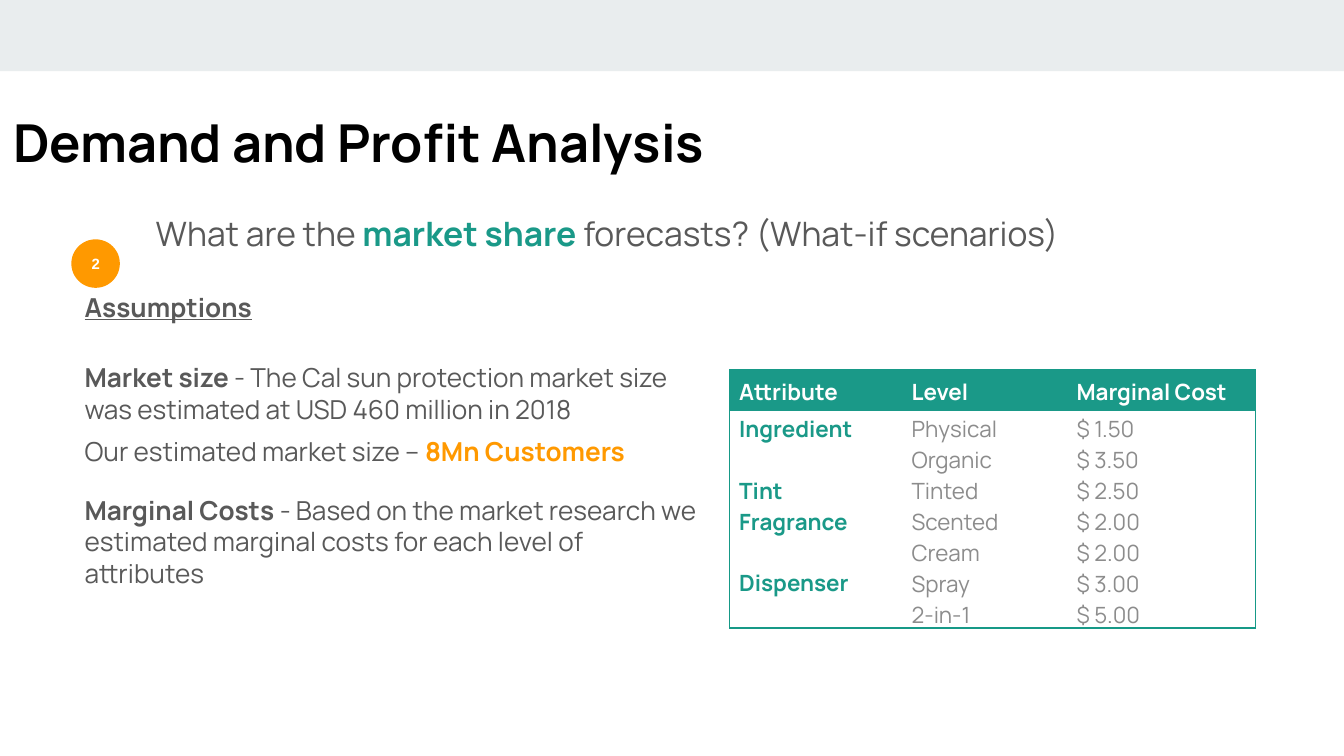
"""Build the market share assumptions slide with its marginal cost table."""
from dataclasses import dataclass

import pptx
import pptx.dml.color
import pptx.enum.shapes
import pptx.enum.text
import pptx.oxml
import pptx.oxml.ns
import pptx.util

Pt = pptx.util.Pt
RGBColor = pptx.dml.color.RGBColor
ALIGN = pptx.enum.text.PP_ALIGN
ANCHOR = pptx.enum.text.MSO_ANCHOR
SHAPE = pptx.enum.shapes.MSO_SHAPE

BLACK = RGBColor(0, 0, 0)
WHITE = RGBColor(255, 255, 255)
BAND = RGBColor(0xE9, 0xED, 0xEE)
TEAL = RGBColor(0x1A, 0x99, 0x88)
BORDER = RGBColor(0x16, 0x99, 0x87)
ORANGE = RGBColor(0xFF, 0x99, 0x00)
DARK_GREY = RGBColor(0x59, 0x59, 0x59)
GREY = RGBColor(0x8C, 0x8C, 0x8C)

INSET = 7.2
NO_STYLE = "{2D5ABB26-0587-4C30-8999-92F81FD0307C}"
COLUMN_WIDTHS = (92.4, 88.4, 100.7)
HEADER_HEIGHT, ROW_HEIGHT = 22.4, 16.6
COSTS = (
    ("Attribute", "Level", "Marginal Cost"),
    ("Ingredient", "Physical", "$ 1.50"),
    ("", "Organic", "$ 3.50"),
    ("Tint", "Tinted", "$ 2.50"),
    ("Fragrance", "Scented", "$ 2.00"),
    ("Dispenser", "Cream", "$ 2.00"),
    ("", "Spray", "$ 3.00"),
    ("", "2-in-1", "$ 5.00"),
)
MERGES = ((1, 2), (5, 7))


@dataclass
class Span:
    text: str
    color: RGBColor = DARK_GREY
    bold: bool = False
    underline: bool = False


@dataclass
class Para:
    spans: tuple
    before: float = 0
    after: float = 0
    line: float = 1.0


@dataclass
class Box:
    left: float
    top: float
    width: float
    height: float
    size: float
    paras: tuple


BOXES = (
    Box(0, 51.8, 605.5, 42.5, 28,
        (Para((Span("Demand and Profit Analysis", BLACK, True),)),)),
    Box(76.3, 103.7, 686, 81.4, 18,
        (Para((Span("What are the "), Span("market share ", TEAL, True),
               Span("forecasts? (What-if scenarios)")), after=16, line=1.15),)),
    Box(38.2, 146.2, 686, 81.4, 14,
        (Para((Span("Assumptions", bold=True, underline=True),), after=16, line=1.15),)),
    Box(38.2, 186.5, 344.2, 92.9, 14, (
        Para((Span("Market size ", bold=True),
              Span("- The Cal sun protection market size was estimated at "
                   "USD 460 million in 2018")), after=4),
        Para((Span("Our estimated market size – "),
              Span("8Mn Customers", ORANGE, True)), before=2, after=4),
        Para((Span("Marginal Costs ", bold=True),
              Span("- Based on the market research we estimated marginal costs "
                   "for each level of attributes")), before=10.7, after=4),
    )),
)


def add_text(p, text: str, *, size: float, color: RGBColor, bold: bool = False,
             underline: bool = False, font: str = "Manrope") -> None:
    r = p.add_run()
    r.text = text
    r.font.size = Pt(size)
    r.font.name = font
    r.font.bold = bold
    r.font.underline = underline
    r.font.color.rgb = color


def set_frame(tf, anchor=ANCHOR.TOP) -> None:
    tf.word_wrap = True
    tf.vertical_anchor = anchor
    tf.margin_left = tf.margin_right = tf.margin_top = tf.margin_bottom = Pt(INSET)


def add_box(s, box: Box) -> None:
    sp = s.shapes.add_textbox(Pt(box.left), Pt(box.top), Pt(box.width), Pt(box.height))
    tf = sp.text_frame
    set_frame(tf)
    for i, para in enumerate(box.paras):
        p = tf.add_paragraph() if i else tf.paragraphs[0]
        p.space_before, p.space_after = Pt(para.before), Pt(para.after)
        p.line_spacing = para.line
        for span in para.spans:
            add_text(p, span.text, size=box.size, color=span.color,
                     bold=span.bold, underline=span.underline)


def add_plain_shape(s, kind, left: float, top: float, width: float, height: float,
                    fill: RGBColor):
    sp = s.shapes.add_shape(kind, Pt(left), Pt(top), Pt(width), Pt(height))
    sp.shadow.inherit = False
    sp.fill.solid()
    sp.fill.fore_color.rgb = fill
    sp.line.fill.background()
    return sp


def add_borders(cell, sides: list) -> None:
    tc_pr = cell._tc.get_or_add_tcPr()
    for i, side in enumerate(sides):
        tc_pr.insert(i, pptx.oxml.parse_xml(
            f'<a:ln{side} {pptx.oxml.ns.nsdecls("a")} w="{Pt(0.75)}">'
            f'<a:solidFill><a:srgbClr val="{BORDER}"/></a:solidFill></a:ln{side}>'))


def format_cell(cell, text: str, row: int, col: int) -> None:
    header = row == 0
    cell.margin_left = cell.margin_right = Pt(5)
    cell.margin_top = cell.margin_bottom = 0
    if header or (col == 0 and text != "Ingredient"):
        cell.vertical_anchor = ANCHOR.MIDDLE
    else:
        cell.vertical_anchor = ANCHOR.BOTTOM if col else ANCHOR.TOP
    if header:
        cell.fill.solid()
        cell.fill.fore_color.rgb = TEAL
    else:
        cell.fill.background()
    edges = {"L": col == 0, "R": col == len(COLUMN_WIDTHS) - 1, "T": header,
             "B": row + cell.span_height == len(COSTS)}
    add_borders(cell, [side for side, outer in edges.items() if outer])
    if text:
        p = cell.text_frame.paragraphs[0]
        p.alignment = ALIGN.JUSTIFY
        p.line_spacing = 1.07
        color = WHITE if header else GREY if col else TEAL
        add_text(p, text, size=12, color=color, bold=header or col == 0)


def add_cost_table(s, left: float, top: float) -> None:
    height = HEADER_HEIGHT + ROW_HEIGHT * (len(COSTS) - 1)
    frame = s.shapes.add_table(len(COSTS), len(COLUMN_WIDTHS), Pt(left), Pt(top),
                               Pt(sum(COLUMN_WIDTHS)), Pt(height))
    table = frame.table
    table.first_row = table.horz_banding = False
    table._tbl.tblPr[0].text = NO_STYLE
    for column, width in zip(table.columns, COLUMN_WIDTHS):
        column.width = Pt(width)
    for first, last in MERGES:
        table.cell(first, 0).merge(table.cell(last, 0))
    for row, texts in enumerate(COSTS):
        table.rows[row].height = Pt(ROW_HEIGHT if row else HEADER_HEIGHT)
        for col, text in enumerate(texts):
            format_cell(table.cell(row, col), text, row, col)


def main() -> None:
    prs = pptx.Presentation()
    prs.slide_width, prs.slide_height = Pt(720), Pt(405)
    s = prs.slides.add_slide(prs.slide_layouts[6])
    add_plain_shape(s, SHAPE.RECTANGLE, 0, 0, 720, 38.2, BAND)
    for box in BOXES:
        add_box(s, box)
    badge = add_plain_shape(s, SHAPE.OVAL, 38.2, 128.2, 26, 26, ORANGE)
    set_frame(badge.text_frame, ANCHOR.MIDDLE)
    p = badge.text_frame.paragraphs[0]
    p.alignment = ALIGN.CENTER
    add_text(p, "2", size=8, color=WHITE, bold=True, font="Arial")
    add_cost_table(s, 391, 198)
    prs.save("out.pptx")


if __name__ == "__main__":
    main()
